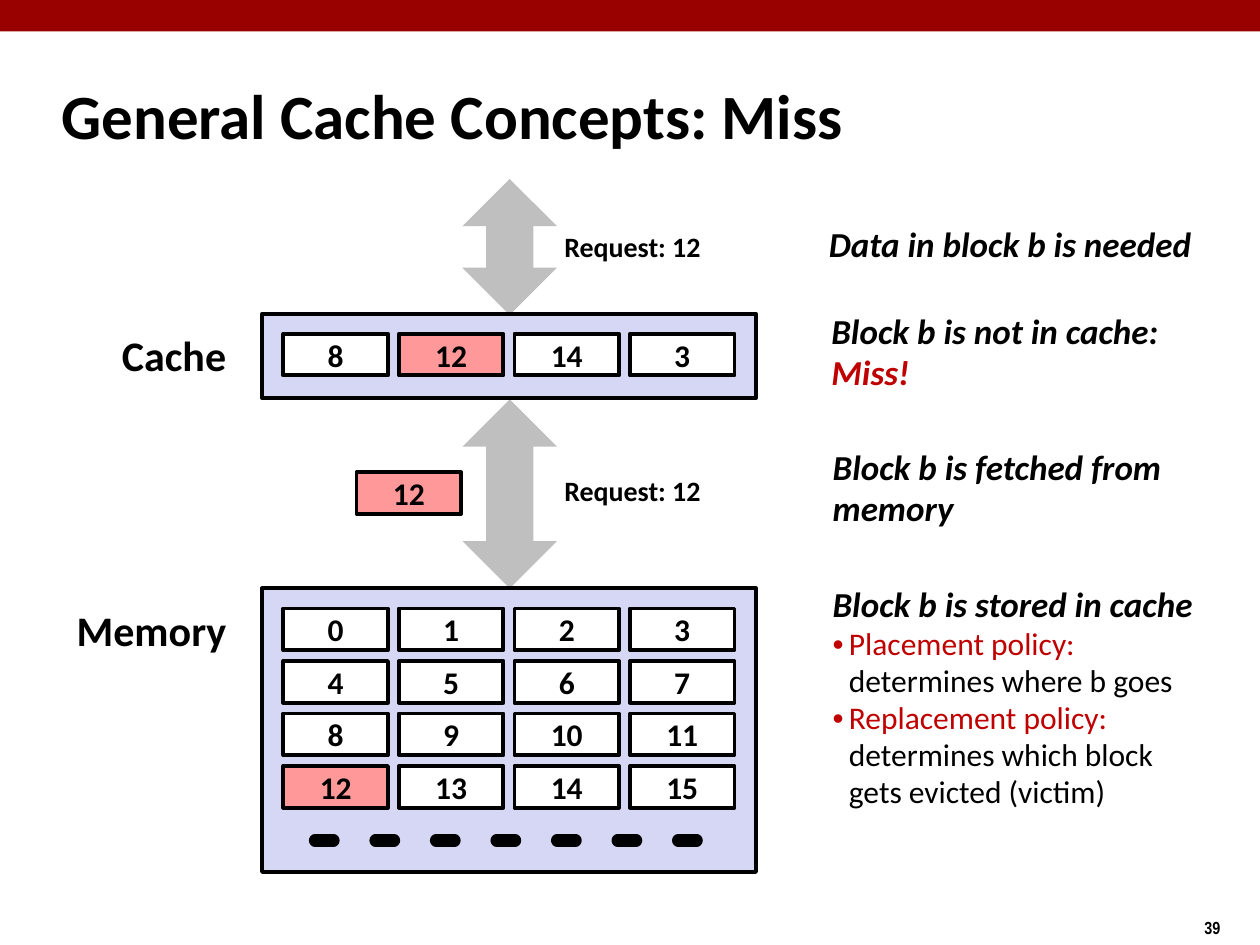
from lxml import etree
from pptx import Presentation
from pptx.dml.color import RGBColor
from pptx.enum.shapes import MSO_CONNECTOR, MSO_SHAPE
from pptx.enum.text import MSO_ANCHOR, MSO_AUTO_SIZE, PP_ALIGN
from pptx.oxml import parse_xml
from pptx.oxml.ns import nsdecls, qn
from pptx.util import Inches, Pt

COLORS = {
    "bar": "990000", "black": "000000", "white": "FFFFFF", "arrow": "BFBFBF",
    "panel": "D6D6F5", "hit": "FF9999", "accent": "C00000",
}
BLOCK_W, BLOCK_H = 0.83, 0.33
COLUMN_STEP, ROW_STEP = 2.75 / 3, 1.25 / 3
HIGHLIGHT = "12"


def rgb(name):
    return RGBColor.from_string(COLORS[name])


def style(span, size, color="black", bold=True, italic=False, font="Calibri"):
    span.font.name = font
    span.font.size = Pt(size)
    span.font.bold = bold
    span.font.italic = italic
    span.font.color.rgb = rgb(color)


def add_shape(page, kind, box, fill, outlined=False):
    shape = page.shapes.add_shape(kind, *map(Inches, box))
    shape.shadow.inherit = False
    shape.fill.solid()
    shape.fill.fore_color.rgb = rgb(fill)
    if outlined:
        shape.line.color.rgb = rgb("black")
        shape.line.width = Pt(2.25)
    else:
        shape.line.fill.background()
    return shape


def add_frame(page, box, anchor=MSO_ANCHOR.TOP):
    frame = page.shapes.add_textbox(*map(Inches, box)).text_frame
    frame.word_wrap = False
    frame.auto_size = MSO_AUTO_SIZE.SHAPE_TO_FIT_TEXT
    frame.vertical_anchor = anchor
    return frame


def add_label(page, box, text, size, align=PP_ALIGN.LEFT, anchor=MSO_ANCHOR.TOP,
              font="Calibri"):
    frame = add_frame(page, box, anchor)
    frame.text = text
    para = frame.paragraphs[0]
    para.alignment = align
    style(para.runs[0], size, font=font)


def add_block(page, left, top, text):
    fill = "hit" if text == HIGHLIGHT else "white"
    block = add_shape(page, MSO_SHAPE.RECTANGLE, (left, top, BLOCK_W, BLOCK_H), fill, True)
    frame = block.text_frame
    frame.margin_left = frame.margin_right = frame.margin_top = frame.margin_bottom = 0
    frame.vertical_anchor = MSO_ANCHOR.MIDDLE
    frame.text = text
    para = frame.paragraphs[0]
    para.alignment = PP_ALIGN.CENTER
    style(para.runs[0], 18)


def add_store(page, box, rows):
    """A panel with rows of blocks, four to a row."""
    add_shape(page, MSO_SHAPE.RECTANGLE, box, "panel", True)
    left, top = box[0] + 0.17, box[1] + 0.16
    for row, values in enumerate(rows):
        for column, value in enumerate(values):
            add_block(page, left + column * COLUMN_STEP, top + row * ROW_STEP, str(value))


def add_dashes(page, left, right, y):
    """Thick round dashes meaning that memory goes on."""
    line = page.shapes.add_connector(
        MSO_CONNECTOR.STRAIGHT, Inches(left), Inches(y), Inches(right), Inches(y))
    line.line.color.rgb = rgb("black")
    line.line.width = Pt(7)
    outline = line.line._get_or_add_ln()
    outline.set("cap", "rnd")
    outline.append(parse_xml(
        f'<a:custDash {nsdecls("a")}><a:ds d="250000" sp="244000"/></a:custDash>'))
    etree.SubElement(line._element.spPr, qn("a:effectLst"))


def add_transfer(page, box, label_top):
    """A two-way arrow with the request beside it."""
    arrow = add_shape(page, MSO_SHAPE.UP_DOWN_ARROW, box, "arrow")
    arrow.adjustments[0] = 0.5
    arrow.adjustments[1] = 0.5
    add_label(page, (4.38, label_top, 1.28, 0.37), "Request: 12", 16, PP_ALIGN.CENTER)


def add_bullet(para):
    properties = para._p.get_or_add_pPr()
    properties.set("marL", str(Inches(0.13)))
    properties.set("indent", str(-Inches(0.13)))
    color = etree.SubElement(properties, qn("a:buClr"))
    etree.SubElement(color, qn("a:srgbClr")).set("val", COLORS["accent"])
    etree.SubElement(properties, qn("a:buFont")).set("typeface", "Arial")
    etree.SubElement(properties, qn("a:buChar")).set("char", "•")


def add_step(page, box, lines, policies=()):
    """One step of the explanation: (text, colour) lines, then bulleted policies."""
    frame = add_frame(page, box, MSO_ANCHOR.MIDDLE)
    for index, (text, color) in enumerate(lines):
        para = frame.add_paragraph() if index else frame.paragraphs[0]
        para.text = text
        para.line_spacing = 0.98
        style(para.runs[0], 20, color, italic=True)
    for name, *details in policies:
        para = frame.add_paragraph()
        para.line_spacing = 0.98
        add_bullet(para)
        span = para.add_run()
        span.text = name
        style(span, 18, "accent", bold=False)
        for detail in details:
            para.add_line_break()
            span = para.add_run()
            span.text = detail
            style(span, 18, bold=False)


def add_header(page):
    add_shape(page, MSO_SHAPE.RECTANGLE, (0, 0, 10, 0.25), "bar")
    add_label(page, (0.39, 0.49, 8.3, 0.83), "General Cache Concepts: Miss", 36,
              anchor=MSO_ANCHOR.MIDDLE)
    add_label(page, (9.46, 7.23, 0.75, 0.27), "39", 10, font="Arial Narrow")


def add_diagram(page):
    add_transfer(page, (3.67, 1.42, 0.75, 1.08), 1.77)
    add_transfer(page, (3.67, 3.17, 0.75, 1.5), 3.71)
    add_store(page, (2.08, 2.49, 3.92, 0.67), [[8, 12, 14, 3]])
    add_store(page, (2.08, 4.67, 3.92, 2.25),
              [range(first, first + 4) for first in range(0, 16, 4)])
    add_dashes(page, 2.5, 5.83, 6.67)
    add_block(page, 2.83, 3.75, HIGHLIGHT)
    add_label(page, (0.87, 2.57, 1.03, 0.5), "Cache", 24)
    add_label(page, (0.51, 4.75, 1.39, 0.5), "Memory", 24)


def add_steps(page):
    add_step(page, (6.48, 1.73, 3.08, 0.43), [("Data in block b is needed", "black")])
    add_step(page, (6.5, 2.42, 2.8, 0.76),
             [("Block b is not in cache:", "black"), ("Miss!", "accent")])
    add_step(page, (6.51, 3.5, 2.81, 0.76),
             [("Block b is fetched from", "black"), ("memory", "black")])
    add_step(page, (6.51, 4.59, 3.06, 1.9), [("Block b is stored in cache", "black")],
             [("Placement policy:", "determines where b goes"),
              ("Replacement policy:", "determines which block", "gets evicted (victim)")])


def main():
    deck = Presentation()
    deck.slide_width, deck.slide_height = Inches(10), Inches(7.5)
    page = deck.slides.add_slide(deck.slide_layouts[6])
    add_header(page)
    add_diagram(page)
    add_steps(page)
    deck.save("out.pptx")


if __name__ == "__main__":
    main()
